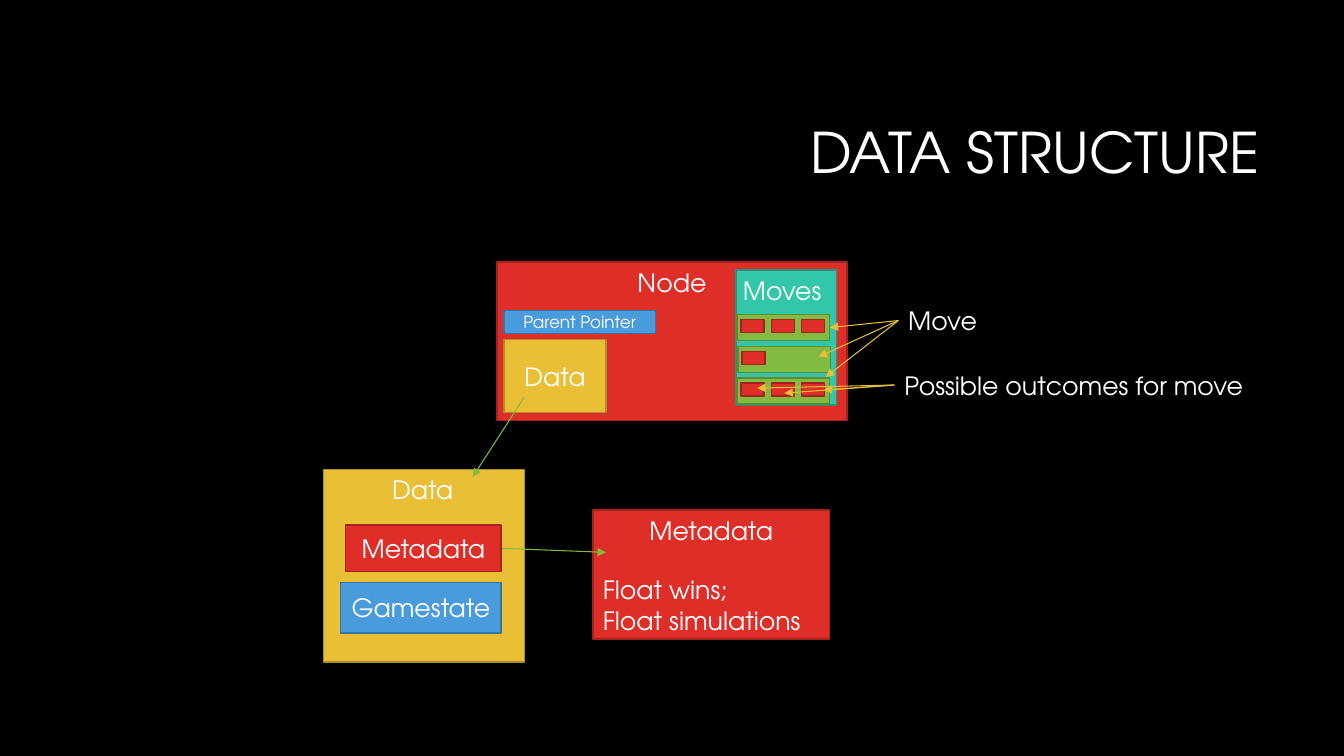
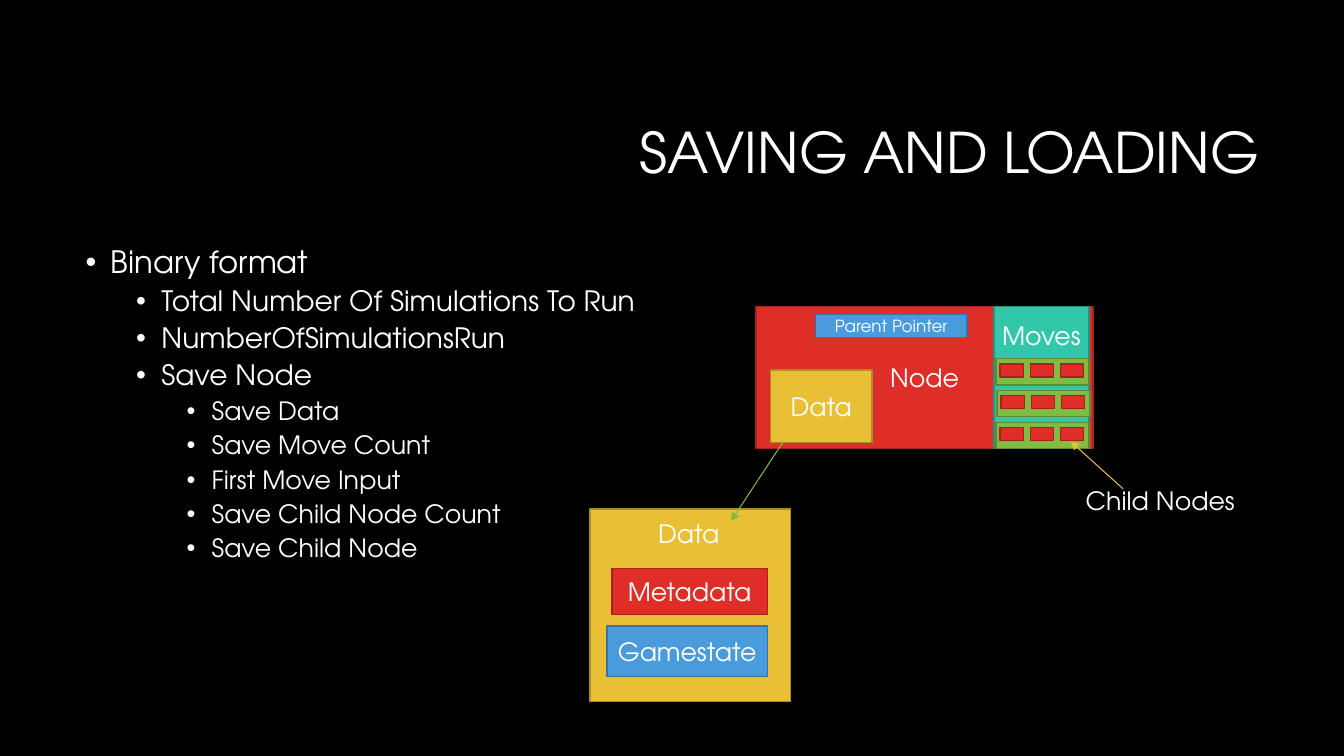
from lxml import etree
from pptx import Presentation
from pptx.dml.color import RGBColor
from pptx.enum import shapes, text
from pptx.oxml import ns
from pptx.util import Inches, Pt

FONT = "TeX Gyre Adventor"
WHITE, BLACK = "FFFFFF", "000000"
# Each style is a fill and its darker outline
RED = ("DF2E28", "A5221E")
TEAL = ("32C7A9", "25937D")
YELLOW = ("E9BF35", "AC8D27")
GREEN = ("81BB42", "5F8A31")
BLUE = ("4A9BDC", "3773A3")

TITLE_BOX = (3.17, 0.84, 9.42, 1.41)
BODY_BOX = (0.75, 2.4, 11.83, 4.4)
LEVEL_SIZES = (22, 20, 18)

SAVE_STEPS = [
    (0, "Binary format"),
    (1, "Total Number Of Simulations To Run"),
    (1, "NumberOfSimulationsRun"),
    (1, "Save Node"),
    (2, "Save Data"),
    (2, "Save Move Count"),
    (2, "First Move Input"),
    (2, "Save Child Node Count"),
    (2, "Save Child Node"),
]

STRUCTURE = {
    "title": "DATA STRUCTURE",
    "node": (4.93, 2.6, 3.47, 1.57),
    "node_anchor": text.MSO_ANCHOR.TOP,
    "moves": (7.3, 2.68, 1, 1.34),
    "moves_label": (7.27, 2.68),
    "first_move": (7.31, 3.12),
    "outcome_counts": (3, 1, 3),
    "node_data": (5, 3.37),
    "parent_pointer": (5, 3.08),
    "data": (3.21, 4.66),
    "data_label_drop": 0,
    "labels": [
        ("Possible outcomes for move", (8.87, 3.62, 3.62, 0.4)),
        ("Move", (8.91, 2.98, 0.9, 0.4)),
    ],
    "arrows": [
        (YELLOW, (8.87, 3.82), [(8.17, 3.87), (7.78, 3.9), (7.51, 3.85)]),
        (YELLOW, (8.91, 3.18), [(8.23, 3.25), (8.12, 3.54), (8.19, 3.74)]),
        (GREEN, (5.2, 3.94), [(4.69, 4.73)]),
        (GREEN, (4.98, 5.44), [(6.01, 5.48)]),
    ],
}

SAVING = {
    "title": "SAVING AND LOADING",
    "node": (7.5, 3.04, 3.34, 1.41),
    "node_anchor": text.MSO_ANCHOR.MIDDLE,
    "moves": (9.86, 3.04, 0.94, 1.41),
    "moves_label": (9.84, 3.13),
    "first_move": (9.88, 3.56),
    "outcome_counts": (3, 3, 3),
    "node_data": (7.64, 3.67),
    "parent_pointer": (8.09, 3.12),
    "data": (5.85, 5.05),
    "data_label_drop": 0.04,
    "labels": [("Child Nodes", (10.67, 4.77, 1.7, 0.4))],
    "arrows": [
        (YELLOW, (11.14, 4.85), [(10.62, 4.38)]),
        (GREEN, (7.77, 4.38), [(7.25, 5.17)]),
    ],
}


def color(value):
    return RGBColor.from_string(value)


def inches(values):
    return [Inches(value) for value in values]


def place(shape, box):
    shape.left, shape.top, shape.width, shape.height = inches(box)


def write(paragraph, words, size, align=text.PP_ALIGN.LEFT):
    paragraph.alignment = align
    run = paragraph.add_run()
    run.text = words
    run.font.name = FONT
    run.font.size = Pt(size)
    run.font.color.rgb = color(WHITE)


def add_box(slide, box, style, words="", size=18, anchor=text.MSO_ANCHOR.MIDDLE):
    shape = slide.shapes.add_shape(shapes.MSO_SHAPE.RECTANGLE, *inches(box))
    fill, outline = style
    shape.shadow.inherit = False
    shape.fill.solid()
    shape.fill.fore_color.rgb = color(fill)
    shape.line.color.rgb = color(outline)
    shape.line.width = Pt(1)
    if words:
        shape.text_frame.vertical_anchor = anchor
        write(shape.text_frame.paragraphs[0], words, size, text.PP_ALIGN.CENTER)
    return shape


def add_label(slide, words, box):
    frame = slide.shapes.add_textbox(*inches(box)).text_frame
    frame.word_wrap = False
    frame.auto_size = text.MSO_AUTO_SIZE.SHAPE_TO_FIT_TEXT
    write(frame.paragraphs[0], words, 18)


def add_arrow(slide, start, end, style):
    arrow = slide.shapes.add_connector(
        shapes.MSO_CONNECTOR.STRAIGHT, *inches(start + end))
    arrow.line.color.rgb = color(style[0])
    arrow.line.width = Pt(0.75)
    line = arrow.line._get_or_add_ln()
    etree.SubElement(line, ns.qn("a:tailEnd"), type="triangle")
    etree.SubElement(arrow._element.spPr, ns.qn("a:effectLst"))


def prepare_placeholder(placeholder, box, anchor):
    place(placeholder, box)
    frame = placeholder.text_frame
    frame.word_wrap = True
    frame.auto_size = text.MSO_AUTO_SIZE.NONE
    frame.vertical_anchor = anchor
    return frame


def add_titled_slide(presentation, layout_index, title):
    slide = presentation.slides.add_slide(presentation.slide_layouts[layout_index])
    frame = prepare_placeholder(slide.shapes.title, TITLE_BOX, text.MSO_ANCHOR.MIDDLE)
    paragraph = frame.paragraphs[0]
    paragraph.line_spacing = 0.9
    write(paragraph, title, 40, text.PP_ALIGN.RIGHT)
    return slide


def add_bullets(slide, items):
    frame = prepare_placeholder(slide.placeholders[1], BODY_BOX, text.MSO_ANCHOR.TOP)
    for index, (level, words) in enumerate(items):
        paragraph = frame.add_paragraph() if index else frame.paragraphs[0]
        paragraph.level = level
        paragraph.line_spacing = 0.9
        paragraph.space_before = Pt(5 if level else 10)
        write(paragraph, words, LEVEL_SIZES[level])
        properties = paragraph._p.get_or_add_pPr()
        properties.set("marL", str(Inches(0.25 + 0.5 * level)))
        properties.set("indent", str(Inches(-0.25)))
        etree.SubElement(properties, ns.qn("a:buFont"), typeface="Arial")
        etree.SubElement(properties, ns.qn("a:buChar"), char="•")


def add_moves(slide, first_move, outcome_counts):
    left, top = first_move
    row_step = 0.63 / (len(outcome_counts) - 1)
    for row, count in enumerate(outcome_counts):
        row_left = left + 0.01 * (row % 2)
        row_top = top + row * row_step
        add_box(slide, (row_left, row_top, 0.92, 0.26), GREEN)
        for column in range(count):
            outcome_left = row_left + 0.04 + 0.3 * column
            add_box(slide, (outcome_left, row_top + 0.05, 0.23, 0.13), RED)


def add_data(slide, corner, label_drop):
    left, top = corner
    add_box(slide, (left, top, 1.99, 1.91), YELLOW)
    top += label_drop
    add_label(slide, "Data", (left + 0.58, top, 0.82, 0.4))
    add_box(slide, (left + 0.22, top + 0.55, 1.54, 0.46), RED, "Metadata")
    add_box(slide, (left + 0.17, top + 1.12, 1.59, 0.5), BLUE, "Gamestate")


def add_diagram(slide, diagram):
    # Node with its data, parent pointer and moves
    add_box(slide, diagram["node"], RED, "Node", anchor=diagram["node_anchor"])
    add_box(slide, diagram["moves"], TEAL)
    add_box(slide, diagram["node_data"] + (1.01, 0.72), YELLOW, "Data")
    add_moves(slide, diagram["first_move"], diagram["outcome_counts"])
    add_label(slide, "Moves", diagram["moves_label"] + (1, 0.4))
    add_box(slide, diagram["parent_pointer"] + (1.5, 0.23), BLUE, "Parent Pointer", 12)
    # Expanded data and labels
    add_data(slide, diagram["data"], diagram["data_label_drop"])
    for words, box in diagram["labels"]:
        add_label(slide, words, box)


def add_arrows(slide, arrows):
    for style, start, ends in arrows:
        for end in ends:
            add_arrow(slide, start, end, style)


def add_metadata(slide):
    box = add_box(slide, (5.88, 5.06, 2.35, 1.28), RED, "Metadata",
                  anchor=text.MSO_ANCHOR.TOP)
    for words, gap in (("Float wins;", 21), ("Float simulations", 0)):
        paragraph = box.text_frame.add_paragraph()
        paragraph.space_before = Pt(gap)
        write(paragraph, words, 18)


def main():
    presentation = Presentation()
    presentation.slide_width, presentation.slide_height = inches((13.33, 7.5))
    background = presentation.slide_master.background.fill
    background.solid()
    background.fore_color.rgb = color(BLACK)

    # Data structure
    slide = add_titled_slide(presentation, 5, STRUCTURE["title"])
    add_diagram(slide, STRUCTURE)
    add_metadata(slide)
    add_arrows(slide, STRUCTURE["arrows"])

    # Saving and loading
    slide = add_titled_slide(presentation, 1, SAVING["title"])
    add_bullets(slide, SAVE_STEPS)
    add_diagram(slide, SAVING)
    add_arrows(slide, SAVING["arrows"])

    presentation.save("out.pptx")


if __name__ == "__main__":
    main()
